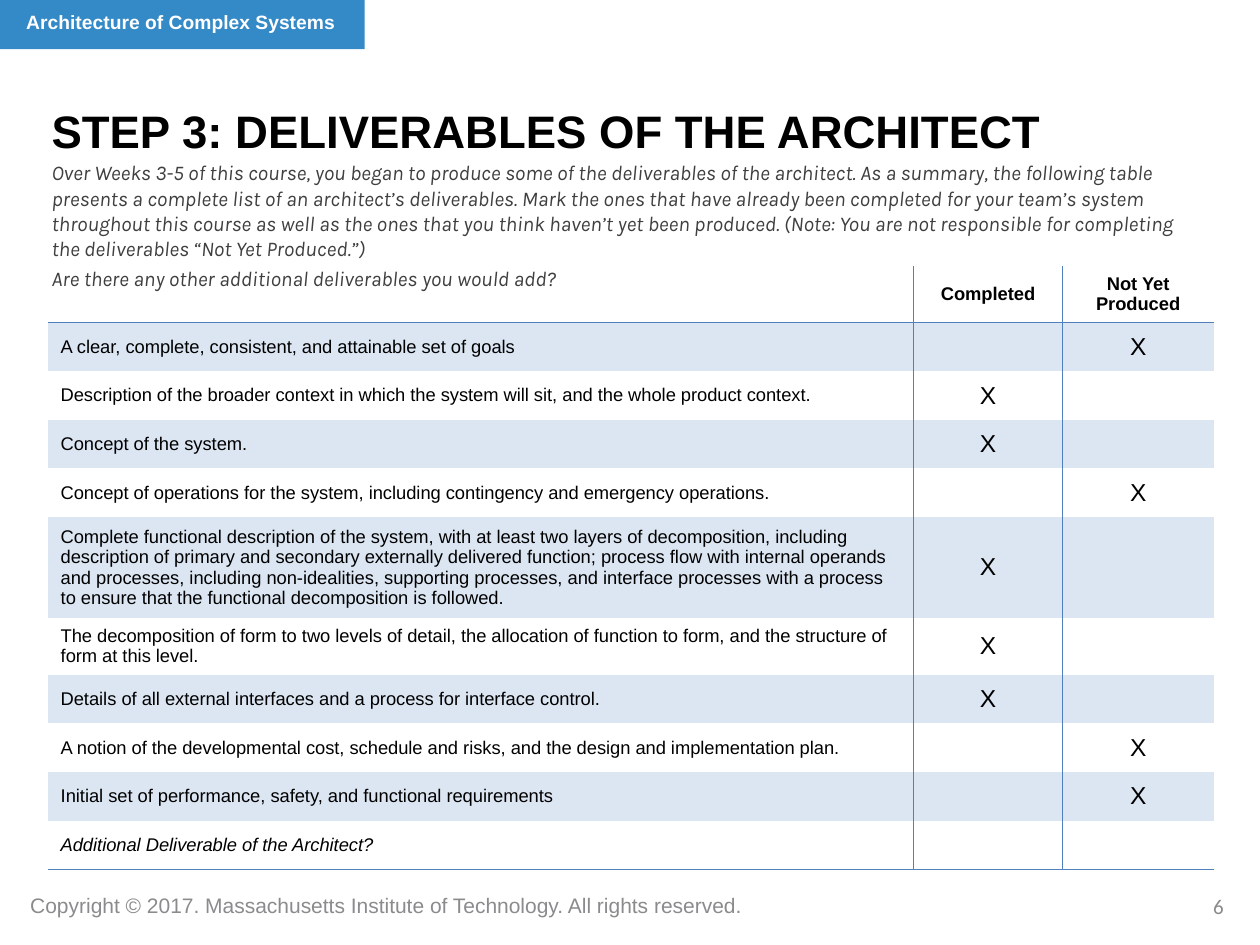
from lxml.etree import SubElement
from pptx import Presentation
from pptx.dml.color import RGBColor
from pptx.enum.shapes import MSO_SHAPE
from pptx.enum.text import MSO_ANCHOR, PP_ALIGN
from pptx.oxml.ns import qn
from pptx.util import Cm, Pt

COLORS = {
    "tag": "3489C7", "white": "FFFFFF", "black": "000000", "body": "3F3F3F",
    "muted": "8A8B8C", "rule": "4F81BD", "band": "DCE6F2",
}
CELL = {"size": Pt(10.5), "name": "Arial"}
MARK = {"size": Pt(14), "name": "Arial"}

INTRO = [
    "Over Weeks 3-5 of this course, you began to produce some of the deliverables of the "
    "architect. As a summary, the following table presents a complete list of an architect’s "
    "deliverables. Mark the ones that have already been completed for your team’s system "
    "throughout this course as well as the ones that you think haven’t yet been produced. "
    "(Note: You are not responsible for completing the deliverables “Not Yet Produced.”)",
    "Are there any other additional deliverables you would add?",
]
HEADERS = ["", "Completed", "Not Yet Produced"]
# Deliverable, column of its mark (None for no mark), row height in cm
DELIVERABLES = [
    ("A clear, complete, consistent, and attainable set of goals", 2, 0.98),
    ("Description of the broader context in which the system will sit, and the whole "
     "product context.", 1, 0.98),
    ("Concept of the system.", 1, 0.98),
    ("Concept of operations for the system, including contingency and emergency "
     "operations.", 2, 0.98),
    ("Complete functional description of the system, with at least two layers of "
     "decomposition, including description of primary and secondary externally delivered "
     "function; process flow with internal operands and processes, including non-idealities, "
     "supporting processes, and interface processes with a process to ensure that the "
     "functional decomposition is followed.", 1, 2.02),
    ("The decomposition of form to two levels of detail, the allocation of function to form, "
     "and the structure of form at this level.", 1, 1.15),
    ("Details of all external interfaces and a process for interface control.", 1, 0.98),
    ("A notion of the developmental cost, schedule and risks, and the design and "
     "implementation plan.", 2, 0.98),
    ("Initial set of performance, safety, and functional requirements", 2, 0.98),
    ("Additional Deliverable of the Architect?", None, 0.98),
]


def rgb(name):
    return RGBColor.from_string(COLORS[name])


def write(p, text, color, font, align=PP_ALIGN.LEFT):
    p.alignment = align
    r = p.add_run()
    r.text = text
    for key, value in font.items():
        setattr(r.font, key, value)
    r.font.color.rgb = rgb(color)


def add_text(slide, box, paragraphs, color, font, align=PP_ALIGN.LEFT, wrap=True):
    tf = slide.shapes.add_textbox(*map(Cm, box)).text_frame
    tf.word_wrap = wrap
    for i, text in enumerate(paragraphs):
        p = tf.add_paragraph() if i else tf.paragraphs[0]
        if i:
            p.space_before = Pt(2.5)
        write(p, text, color, font, align)
    return tf


def add_rect(slide, box, fill):
    sp = slide.shapes.add_shape(MSO_SHAPE.RECTANGLE, *map(Cm, box))
    sp.shadow.inherit = False
    sp.fill.solid()
    sp.fill.fore_color.rgb = rgb(fill)
    sp.line.fill.background()
    return sp


def set_borders(cell, ruled):
    """Draw the sides named in ruled and clear the others."""
    tc_pr = cell._tc.get_or_add_tcPr()
    for side in "LRTB":
        ln = SubElement(tc_pr, qn(f"a:ln{side}"), w=str(Pt(1)))
        if side in ruled:
            fill = SubElement(ln, qn("a:solidFill"))
            SubElement(fill, qn("a:srgbClr"), val=COLORS["rule"])
        else:
            SubElement(ln, qn("a:noFill"))


def add_course_tag(slide, box):
    left, top, width, height = box
    add_rect(slide, box, "tag")
    add_text(slide, (left + 0.3, top + 0.08, width - 0.3, height),
             ["Architecture of Complex Systems"], "white",
             {"size": Pt(11), "name": "Arial", "bold": True})


def add_heading(slide, box):
    left, top, width, height = box
    tf = add_rect(slide, box, "white").text_frame
    tf.vertical_anchor = MSO_ANCHOR.TOP
    tf.margin_top = Cm(0.25)
    write(tf.paragraphs[0], "STEP 3: DELIVERABLES OF THE ARCHITECT", "black",
          {"size": Pt(26), "name": "Arial", "bold": True})
    add_text(slide, (left, top + 1.27, width + 1.78, 2.9), INTRO, "body",
             {"size": Pt(12), "name": "Karla", "italic": True})


def add_deliverables(slide, box):
    heights = [1.13] + [height for _, _, height in DELIVERABLES]
    widths = [17.45, 3.0, 3.05]
    last_row, last_col = len(heights) - 1, len(widths) - 1
    table = slide.shapes.add_table(len(heights), len(widths), *map(Cm, box)).table
    table.first_row = table.horz_banding = False
    for col, width in zip(table.columns, widths):
        col.width = Cm(width)
    for row, height in zip(table.rows, heights):
        row.height = Cm(height)

    rows = [HEADERS]
    for name, mark, _ in DELIVERABLES:
        rows.append([name] + ["X" if mark == c else "" for c in (1, 2)])

    for r, texts in enumerate(rows):
        for c, text in enumerate(texts):
            cell = table.cell(r, c)
            cell.vertical_anchor = MSO_ANCHOR.MIDDLE
            # Rules between columns, below the header and below the last row
            ruled = ("L" if c else "") + ("R" if c < last_col else "")
            ruled += ("T" if r == 1 else "") + ("B" if r in (0, last_row) else "")
            set_borders(cell, ruled)
            if r == c == 0:
                cell.fill.background()
            else:
                cell.fill.solid()
                cell.fill.fore_color.rgb = rgb("band" if r % 2 else "white")
            p = cell.text_frame.paragraphs[0]
            if text:
                font = MARK if r and c else CELL
                font = {**font, "bold": r == 0, "italic": r == last_row}
                write(p, text, "black", font, PP_ALIGN.CENTER if c else PP_ALIGN.LEFT)
            else:
                # Small type keeps empty cells from stretching the row
                SubElement(p._p, qn("a:endParaRPr"), sz="1050")


def add_footer(slide, box):
    left, top, width, height = box
    add_text(slide, (left, top, 15.14, height),
             ["Copyright © 2017. Massachusetts Institute of Technology. All rights reserved."],
             "muted", {"size": Pt(12), "name": "Arial"}, wrap=False)
    add_text(slide, (left + width - 5.92, top + 0.03, 5.92, height), ["6"], "muted",
             {"size": Pt(12), "name": "Calibri"}, PP_ALIGN.RIGHT)


def main():
    prs = Presentation()
    prs.slide_width, prs.slide_height = Cm(25.4), Cm(19.05)
    slide = prs.slides.add_slide(prs.slide_layouts[6])
    add_course_tag(slide, (-0.02, 0, 7.37, 0.99))
    add_heading(slide, (0.79, 1.83, 21.62, 1.75))
    add_deliverables(slide, (0.97, 5.36, 23.5, 12.14))
    add_footer(slide, (0.36, 17.86, 24.56, 0.76))
    prs.save("out.pptx")


if __name__ == "__main__":
    main()
